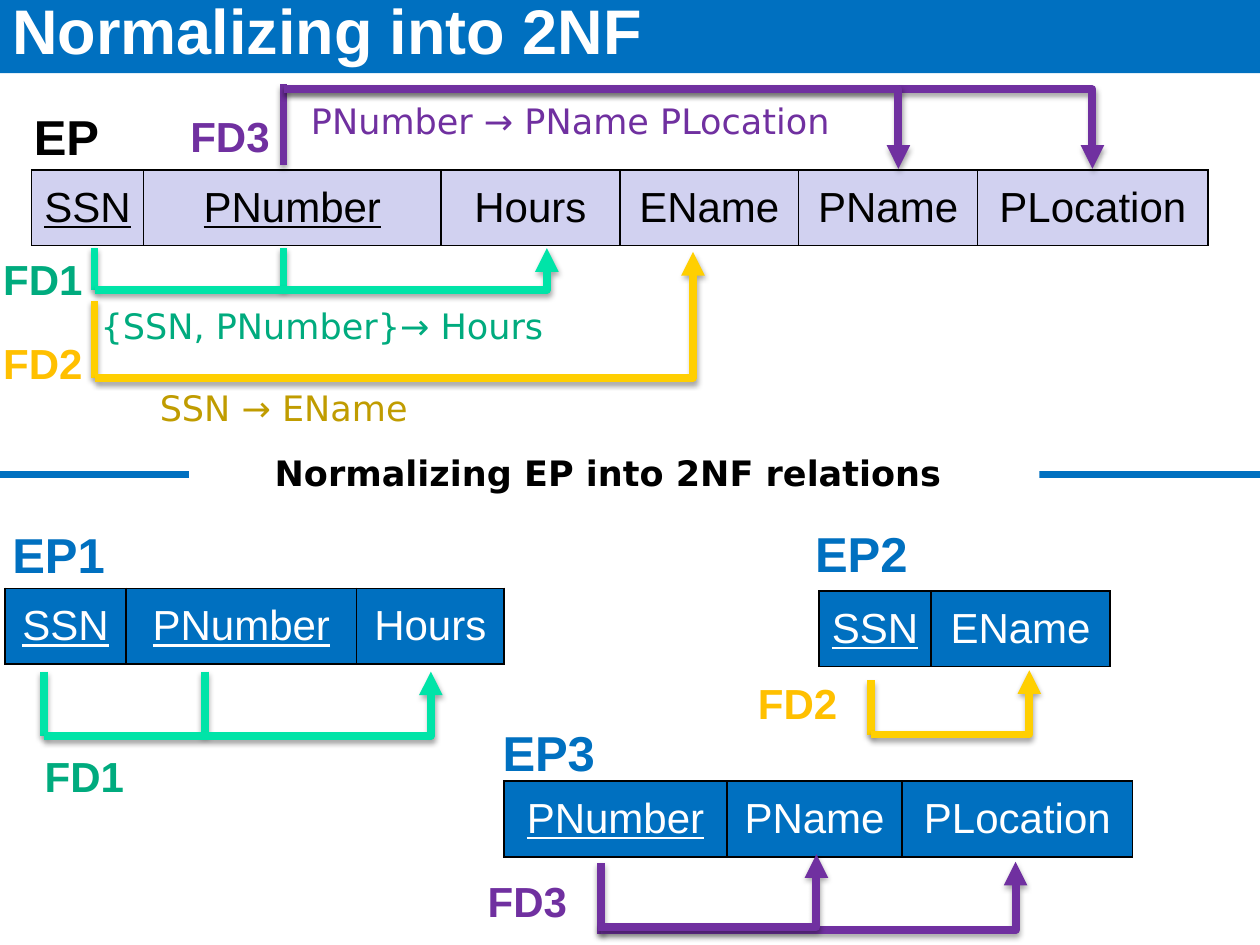
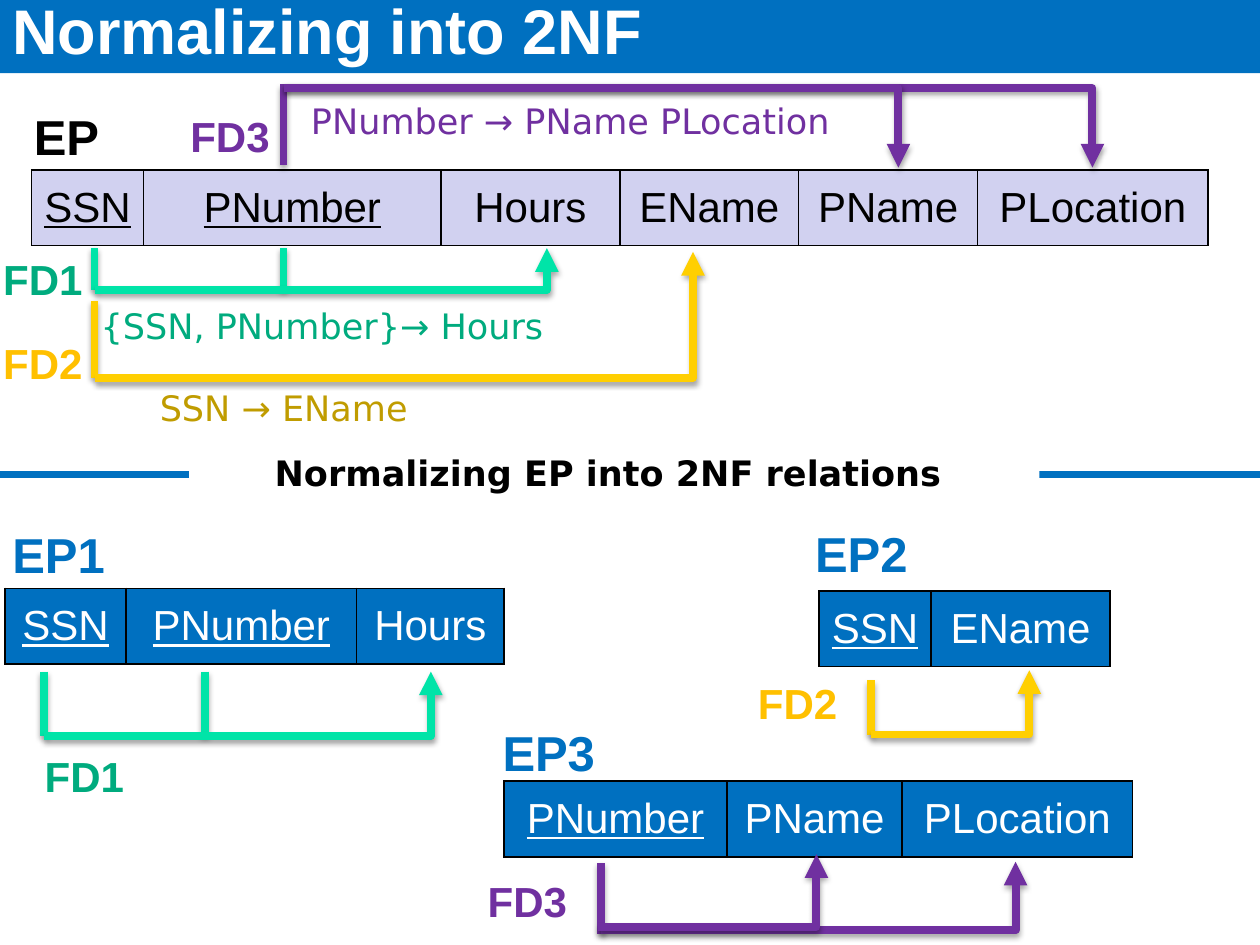
from dataclasses import dataclass

import pptx
import pptx.dml.color
import pptx.enum.shapes
import pptx.enum.text
import pptx.oxml
import pptx.oxml.ns
import pptx.util
from pptx.util import Inches

ALIGN = pptx.enum.text.PP_ALIGN
ANCHOR = pptx.enum.text.MSO_ANCHOR
CONNECTOR = pptx.enum.shapes.MSO_CONNECTOR
RECTANGLE = pptx.enum.shapes.MSO_SHAPE.RECTANGLE
NAMESPACE = pptx.oxml.ns.nsdecls("a")

BLUE, WHITE, BLACK, LAVENDER = "0070C0", "FFFFFF", "000000", "D1D1F0"
MINT, GREEN = "00E4A8", "00AB7E"
YELLOW, AMBER, OLIVE = "FFCF01", "FFC000", "C09C00"
PURPLE = "7030A0"
ROW_HEIGHT = 0.6


@dataclass(frozen=True)
class TextStyle:
    size: int
    font: str
    bold: bool = False
    align: ALIGN = ALIGN.LEFT
    anchor: ANCHOR = ANCHOR.MIDDLE


TITLE = TextStyle(36, "Arial", True, anchor=ANCHOR.BOTTOM)
RELATION_NAME = TextStyle(28, "Arial", True)
DEPENDENCY_NAME = TextStyle(24, "Arial", True, ALIGN.CENTER, ANCHOR.TOP)
ATTRIBUTE = TextStyle(24, "Arial", align=ALIGN.CENTER)
RULE = TextStyle(20, "DejaVu Sans")
DIVIDER = TextStyle(20, "DejaVu Sans", True, ALIGN.CENTER)


@dataclass(frozen=True)
class Label:
    text: str
    left: float
    top: float
    width: float
    height: float
    style: TextStyle
    color: str


@dataclass(frozen=True)
class Relation:
    """A one-row table; the first key_count attributes form the key."""
    left: float
    top: float
    attributes: dict[str, float]
    key_count: int
    fill: str = BLUE
    color: str = WHITE


@dataclass(frozen=True)
class Arrow:
    """Runs along the rail from start, then turns to the tip above or below end."""
    start: float
    rail: float
    end: float
    tip: float


@dataclass(frozen=True)
class Dependency:
    color: str
    stems: list[float]
    stem_from: float
    stem_to: float
    arrows: list[Arrow]


LABELS = [
    Label("SSN → EName", 1.17, 3.07, 2.33, 0.33, RULE, OLIVE),
    Label("PNumber → PName PLocation", 2.37, 0.81, 4.83, 0.29, RULE, PURPLE),
    Label("{SSN, PNumber}→ Hours", 0.7, 2.39, 3.85, 0.39, RULE, GREEN),
    Label("FD3", 1.4, 0.83, 0.85, 0.5, DEPENDENCY_NAME, PURPLE),
    Label("FD1", -0.08, 1.96, 0.84, 0.5, DEPENDENCY_NAME, GREEN),
    Label("FD2", -0.08, 2.63, 0.84, 0.5, DEPENDENCY_NAME, AMBER),
    Label("FD3", 3.76, 6.9, 0.85, 0.5, DEPENDENCY_NAME, PURPLE),
    Label("FD2", 5.91, 5.33, 0.84, 0.5, DEPENDENCY_NAME, AMBER),
    Label("FD1", 0.25, 5.91, 0.84, 0.5, DEPENDENCY_NAME, GREEN),
    Label("EP", 0.17, 0.89, 0.74, 0.37, RELATION_NAME, BLACK),
    Label("EP1", 0, 4.21, 0.97, 0.37, RELATION_NAME, BLUE),
    Label("EP2", 6.37, 4.2, 1.08, 0.37, RELATION_NAME, BLUE),
    Label("EP3", 3.89, 5.78, 1.03, 0.37, RELATION_NAME, BLUE),
]

RELATIONS = [
    Relation(0.25, 1.35, {"SSN": 0.89, "PNumber": 2.36, "Hours": 1.42,
                          "EName": 1.42, "PName": 1.42, "PLocation": 1.83},
             2, LAVENDER, BLACK),
    Relation(0.04, 4.67, {"SSN": 0.96, "PNumber": 1.83, "Hours": 1.17}, 2),
    Relation(6.5, 4.69, {"SSN": 0.89, "EName": 1.42}, 1),
    Relation(4, 6.2, {"PNumber": 1.77, "PName": 1.39, "PLocation": 1.83}, 1),
]

DEPENDENCIES = [
    Dependency(MINT, [0.75, 2.25], 1.97, 2.3, [Arrow(0.75, 2.3, 4.34, 1.97)]),
    Dependency(YELLOW, [0.75], 2.39, 3, [Arrow(0.75, 3, 5.5, 2)]),
    Dependency(YELLOW, [6.91], 5.4, 5.83, [Arrow(6.91, 5.83, 8.17, 5.32)]),
    Dependency(MINT, [0.35, 1.63], 5.33, 5.84, [Arrow(0.35, 5.84, 3.42, 5.33)]),
    Dependency(PURPLE, [4.77], 6.85, 7.41,
               [Arrow(4.77, 7.38, 8.06, 6.84), Arrow(4.75, 7.36, 6.48, 6.78)]),
]


def project_dependency(rail: float) -> Dependency:
    """FD3 above EP, whose rail height differs from slide to slide."""
    arrows = [Arrow(2.25, rail, end, rail + 0.63) for end in (8.67, 7.13)]
    return Dependency(PURPLE, [2.25], 1.31, 0.67, arrows)


def rgb(color: str) -> pptx.dml.color.RGBColor:
    return pptx.dml.color.RGBColor.from_string(color)


def write(frame, text: str, style: TextStyle, color: str) -> None:
    frame.word_wrap = True
    frame.vertical_anchor = style.anchor
    paragraph = frame.paragraphs[0]
    paragraph.text = text
    paragraph.alignment = style.align
    font = paragraph.font
    font.name, font.size, font.bold = style.font, pptx.util.Pt(style.size), style.bold
    font.color.rgb = rgb(color)


def add_band(slide, left: float, top: float, width: float, height: float, fill: str):
    band = slide.shapes.add_shape(
        RECTANGLE, Inches(left), Inches(top), Inches(width), Inches(height))
    band.shadow.inherit = False
    band.fill.solid()
    band.fill.fore_color.rgb = rgb(fill)
    band.line.fill.background()
    return band


def add_label(slide, label: Label) -> None:
    box = slide.shapes.add_textbox(Inches(label.left), Inches(label.top),
                                   Inches(label.width), Inches(label.height))
    write(box.text_frame, label.text, label.style, label.color)


def add_borders(cell) -> None:
    properties = cell._tc.get_or_add_tcPr()
    for side in "LRTB":
        properties.append(pptx.oxml.parse_xml(
            f'<a:ln{side} {NAMESPACE} w="12700"><a:solidFill>'
            f'<a:srgbClr val="{BLACK}"/></a:solidFill></a:ln{side}>'))


def add_relation(slide, relation: Relation) -> None:
    widths = relation.attributes.values()
    table = slide.shapes.add_table(
        1, len(widths), Inches(relation.left), Inches(relation.top),
        Inches(sum(widths)), Inches(ROW_HEIGHT)).table
    table.first_row = table.horz_banding = False
    for index, (name, width) in enumerate(relation.attributes.items()):
        table.columns[index].width = Inches(width)
        cell = table.cell(0, index)
        add_borders(cell)
        cell.fill.solid()
        cell.fill.fore_color.rgb = rgb(relation.fill)
        write(cell.text_frame, name, ATTRIBUTE, relation.color)
        cell.vertical_anchor = ANCHOR.MIDDLE
        cell.text_frame.paragraphs[0].font.underline = index < relation.key_count


def add_line(slide, kind: CONNECTOR, start: tuple[float, float],
             end: tuple[float, float], color: str):
    points = [Inches(value) for value in (*start, *end)]
    line = slide.shapes.add_connector(kind, *points)
    line.line.color.rgb = rgb(color)
    line.line.width = pptx.util.Pt(4.5)
    line._element.spPr.append(pptx.oxml.parse_xml(
        f'<a:effectLst {NAMESPACE}><a:outerShdw blurRad="40000" dist="23000" '
        f'dir="5400000" rotWithShape="0"><a:srgbClr val="{BLACK}">'
        '<a:alpha val="35000"/></a:srgbClr></a:outerShdw></a:effectLst>'))
    return line


def add_arrow(slide, arrow: Arrow, color: str) -> None:
    line = add_line(slide, CONNECTOR.ELBOW, (arrow.start, arrow.rail),
                    (arrow.end, arrow.tip), color)
    line.line._get_or_add_ln().append(
        pptx.oxml.parse_xml(f'<a:tailEnd {NAMESPACE} type="triangle"/>'))
    geometry = line._element.spPr.find(pptx.oxml.ns.qn("a:prstGeom"))
    for guides in list(geometry):
        geometry.remove(guides)
    geometry.append(pptx.oxml.parse_xml(
        f'<a:avLst {NAMESPACE}><a:gd name="adj1" fmla="val 100000"/></a:avLst>'))


def add_dependency(slide, dependency: Dependency) -> None:
    for x in dependency.stems:
        add_line(slide, CONNECTOR.STRAIGHT, (x, dependency.stem_from),
                 (x, dependency.stem_to), dependency.color)
    for arrow in dependency.arrows:
        add_arrow(slide, arrow, dependency.color)


def add_normalization_slide(deck, project_rail: float) -> None:
    slide = deck.slides.add_slide(deck.slide_layouts[6])
    title = add_band(slide, 0, 0, 10, 0.58, BLUE)
    write(title.text_frame, "Normalizing into 2NF", TITLE, WHITE)
    for relation in RELATIONS:
        add_relation(slide, relation)
    for dependency in [*DEPENDENCIES, project_dependency(project_rail)]:
        add_dependency(slide, dependency)
    rule = add_band(slide, 0, 3.74, 10, 0.05, BLUE)
    rule.line.color.rgb = rgb(BLUE)
    rule.line.width = pptx.util.Pt(0.75)
    divider = add_band(slide, 1.5, 3.6, 6.75, 0.3, WHITE)
    write(divider.text_frame, "Normalizing EP into 2NF relations ", DIVIDER, BLACK)
    for label in LABELS:
        add_label(slide, label)


def main() -> None:
    deck = pptx.Presentation()
    deck.slide_width, deck.slide_height = Inches(10), Inches(7.5)
    for project_rail in (0.71, 0.7):
        add_normalization_slide(deck, project_rail)
    deck.save("out.pptx")


if __name__ == "__main__":
    main()
